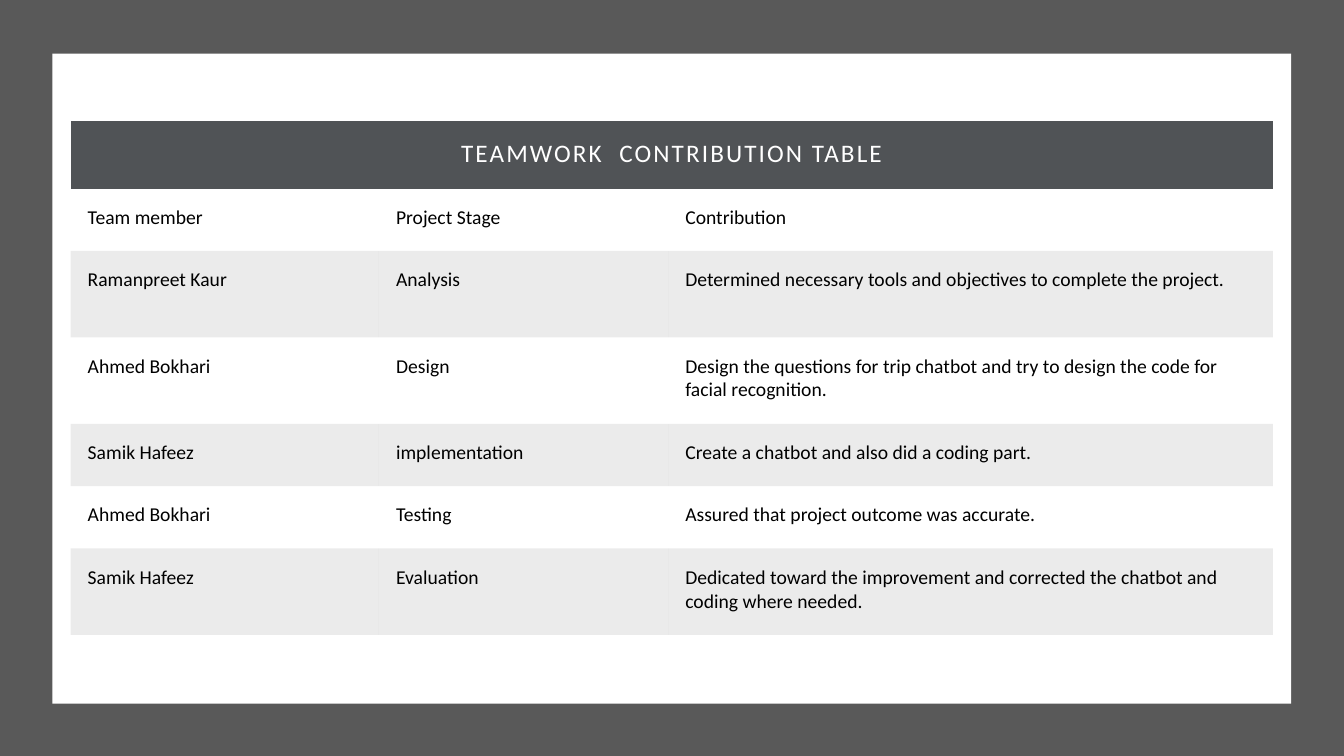
from dataclasses import dataclass

from lxml import etree
from pptx import Presentation
from pptx import util as u
from pptx.dml.color import RGBColor
from pptx.enum import shapes, text
from pptx.oxml.ns import qn


@dataclass(frozen=True)
class Theme:
    font: str = "Calibri"
    heading_size: int = 18
    body_size: int = 14
    frame: str = "595959"
    panel: str = "FFFFFF"
    heading_fill: str = "505356"
    heading_text: str = "FFFFFF"
    body_text: str = "000000"
    band: str = "000000"
    band_opacity: int = 8


THEME = Theme()
SLIDE_SIZE = (33.87, 19.05)
PLAIN_TABLE_STYLE = "{2D5ABB26-0587-4C30-8999-92F81FD0307C}"
CELL_INSET = 0.43
COLUMN_WIDTHS = (7.77, 7.29, 15.24)
HEADING_HEIGHT, SHORT_ROW, TALL_ROW = 1.7, 1.57, 2.18

HEADING = "TEAMWORK  CONTRIBUTION TABLE"
CONTRIBUTIONS = [
    (SHORT_ROW, "Team member", "Project Stage", "Contribution"),
    (TALL_ROW, "Ramanpreet Kaur", "Analysis",
     "Determined necessary tools and objectives to complete the project."),
    (TALL_ROW, "Ahmed Bokhari", "Design",
     "Design the questions for trip chatbot and try to design the code for facial recognition."),
    (SHORT_ROW, "Samik Hafeez", "implementation",
     "Create a chatbot and also did a coding part."),
    (SHORT_ROW, "Ahmed Bokhari", "Testing",
     "Assured that project outcome was accurate."),
    (TALL_ROW, "Samik Hafeez", "Evaluation",
     "Dedicated toward the improvement and corrected the chatbot and coding where needed."),
]


def add_panel(slide, left, top, width, height, color):
    panel = slide.shapes.add_shape(
        shapes.MSO_SHAPE.RECTANGLE, u.Cm(left), u.Cm(top), u.Cm(width), u.Cm(height))
    panel.shadow.inherit = False
    panel.fill.solid()
    panel.fill.fore_color.rgb = RGBColor.from_string(color)
    panel.line.fill.background()


def fill_cell(cell, color, opacity=100):
    """Fill a cell; opacity is a percentage."""
    cell.fill.solid()
    cell.fill.fore_color.rgb = RGBColor.from_string(color)
    if opacity < 100:
        tint = cell._tc.tcPr.find(".//" + qn("a:srgbClr"))
        etree.SubElement(tint, qn("a:alpha")).set("val", str(opacity * 1000))


def write_cell(cell, wording, size, color):
    cell.margin_left = cell.margin_right = u.Cm(CELL_INSET)
    cell.margin_top = cell.margin_bottom = u.Cm(CELL_INSET)
    cell.text = wording
    paragraph = cell.text_frame.paragraphs[0]
    paragraph.font.name = THEME.font
    paragraph.font.size = u.Pt(size)
    paragraph.font.color.rgb = RGBColor.from_string(color)
    return paragraph


def add_heading(table):
    """Write the heading across the whole first row, with spaced letters."""
    heading = table.cell(0, 0)
    heading.merge(table.cell(0, len(COLUMN_WIDTHS) - 1))
    fill_cell(heading, THEME.heading_fill)
    paragraph = write_cell(heading, HEADING, THEME.heading_size, THEME.heading_text)
    paragraph.alignment = text.PP_ALIGN.CENTER
    paragraph.runs[0].font._element.set("spc", "150")


def add_contribution_table(slide, left, top):
    heights = [HEADING_HEIGHT] + [height for height, *_ in CONTRIBUTIONS]
    table = slide.shapes.add_table(
        len(heights), len(COLUMN_WIDTHS), u.Cm(left), u.Cm(top),
        u.Cm(sum(COLUMN_WIDTHS)), u.Cm(sum(heights))).table
    table.first_row = table.horz_banding = False
    table._tbl.tblPr.find(qn("a:tableStyleId")).text = PLAIN_TABLE_STYLE
    for column, width in zip(table.columns, COLUMN_WIDTHS):
        column.width = u.Cm(width)
    for row, height in zip(table.rows, heights):
        row.height = u.Cm(height)

    add_heading(table)
    for row_number, (_, *entries) in enumerate(CONTRIBUTIONS, start=1):
        for column_number, entry in enumerate(entries):
            cell = table.cell(row_number, column_number)
            write_cell(cell, entry, THEME.body_size, THEME.body_text)
            if row_number % 2 == 0:
                fill_cell(cell, THEME.band, THEME.band_opacity)
            else:
                cell.fill.background()


def main():
    deck = Presentation()
    deck.slide_width, deck.slide_height = map(u.Cm, SLIDE_SIZE)
    slide = deck.slides.add_slide(deck.slide_layouts[6])
    add_panel(slide, 0, 0, *SLIDE_SIZE, THEME.frame)
    add_panel(slide, 1.32, 1.35, 31.22, 16.38, THEME.panel)
    add_contribution_table(slide, 1.78, 3.05)
    deck.save("out.pptx")


if __name__ == "__main__":
    main()
